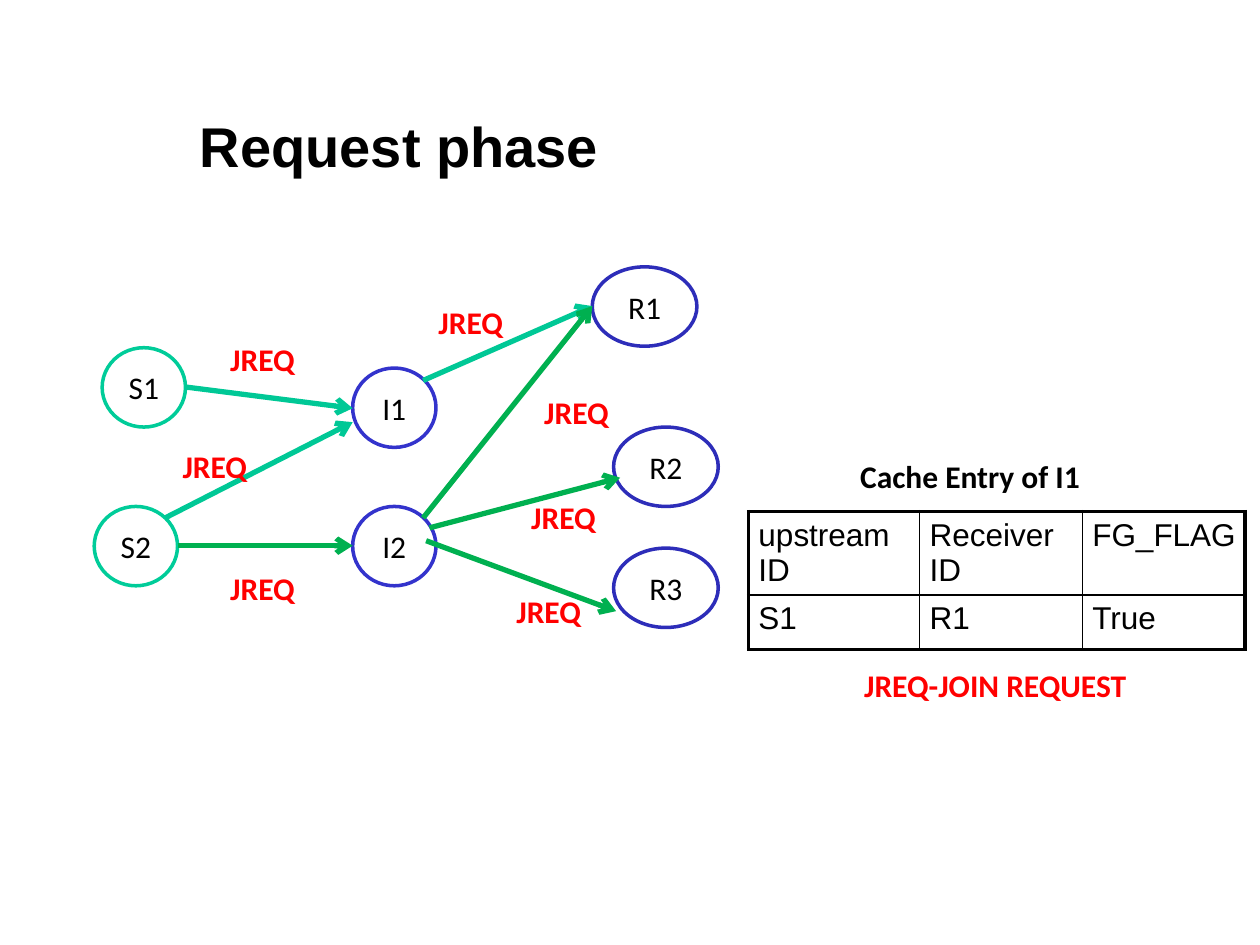
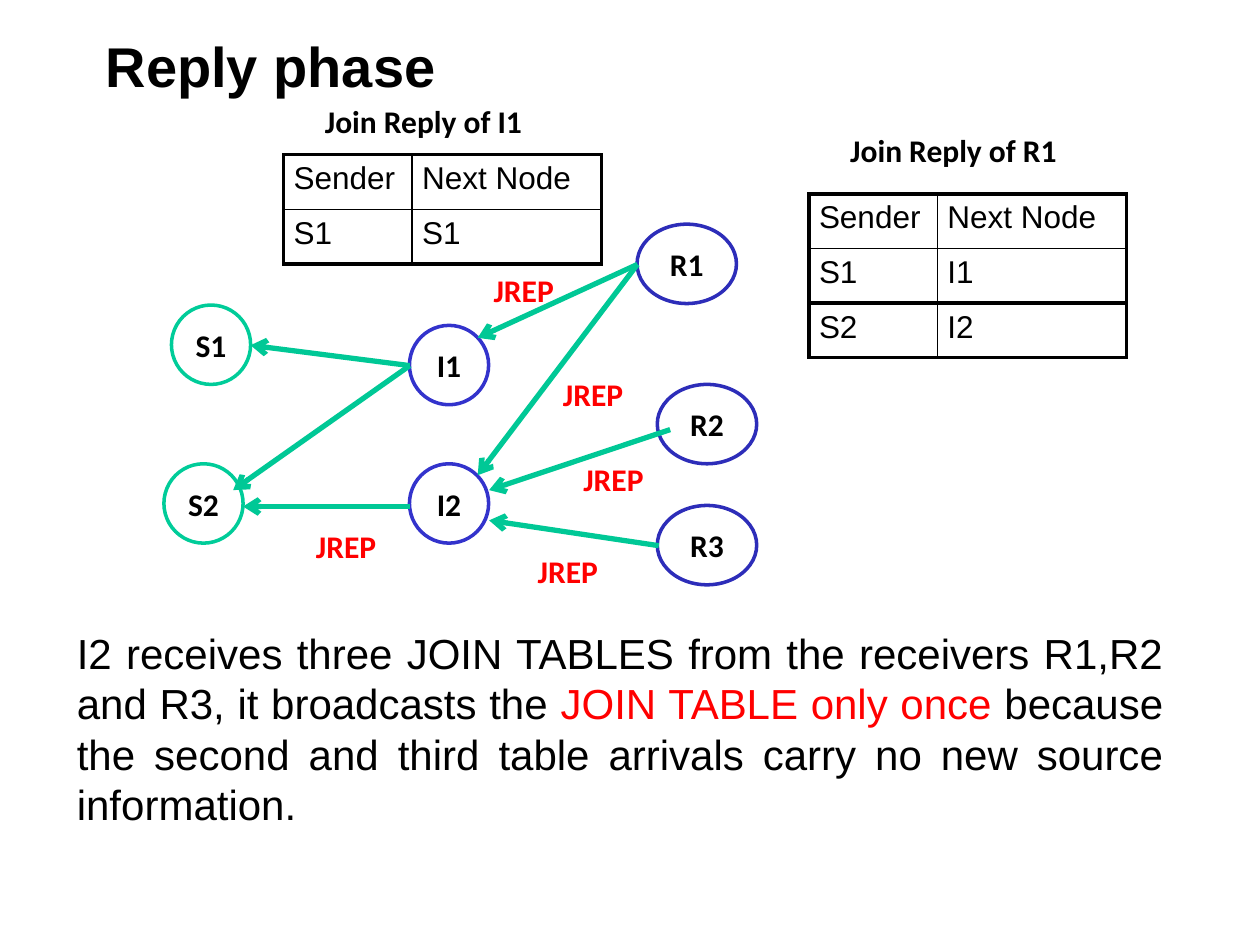
from dataclasses import dataclass

from lxml import etree
from pptx import Presentation
from pptx import util as u
from pptx.dml.color import RGBColor
from pptx.enum import shapes, text
from pptx.oxml import ns

# Shared look
BLACK = RGBColor(0x00, 0x00, 0x00)
WHITE = RGBColor(0xFF, 0xFF, 0xFF)
RED = RGBColor(0xFF, 0x00, 0x00)
TEAL = RGBColor(0x00, 0xC8, 0x96)
GREEN = RGBColor(0x00, 0xB0, 0x50)
SOURCE_RING = RGBColor(0x00, 0xCC, 0x99)
INNER_RING = RGBColor(0x33, 0x33, 0xCC)
RECEIVER_RING = RGBColor(0x2D, 0x2D, 0xB9)
HEADING_FONT = "Arial"
LABEL_FONT = "Calibri"
NODE_HEIGHT = 1.6
THIN, THICK = u.Pt(1), u.Pt(2.25)


# All positions and lengths below are in centimetres
@dataclass(frozen=True)
class Node:
    name: str
    left: float
    top: float
    width: float
    ring: RGBColor


@dataclass(frozen=True)
class Frame:
    """Where the network sits: x is stretched and shifted, y is shifted."""
    stretch: float
    dx: float
    dy: float
    bold: bool


@dataclass(frozen=True)
class Arrow:
    start: tuple[float, float]
    end: tuple[float, float]
    color: RGBColor = TEAL


@dataclass(frozen=True)
class Label:
    words: str
    left: float
    top: float
    width: float
    color: RGBColor = RED
    wrap: bool = False


@dataclass(frozen=True)
class Grid:
    left: float
    top: float
    columns: tuple[float, ...]
    rows: tuple[tuple[str, ...], ...]


NODES = (
    Node("S1", 2.06, 7.01, 1.68, SOURCE_RING),
    Node("S2", 1.9, 10.21, 1.68, SOURCE_RING),
    Node("I1", 7.11, 7.42, 1.68, INNER_RING),
    Node("I2", 7.11, 10.21, 1.68, INNER_RING),
    Node("R1", 11.94, 5.38, 2.11, RECEIVER_RING),
    Node("R2", 12.37, 8.61, 2.11, RECEIVER_RING),
    Node("R3", 12.37, 11.05, 2.11, RECEIVER_RING),
)

# Request phase
REQUEST_FRAME = Frame(1, 0, 0, False)
REQUEST_ARROWS = (
    Arrow((3.73, 7.8), (7.11, 8.23)),
    Arrow((3.58, 11), (7.11, 11), GREEN),
    Arrow((3.33, 10.44), (7.11, 8.51)),
    Arrow((8.53, 7.67), (11.94, 6.17)),
    Arrow((8.53, 10.44), (11.94, 6.17), GREEN),
    Arrow((8.66, 10.64), (12.5, 9.63), GREEN),
    Arrow((8.59, 10.9), (12.42, 12.32), GREEN),
)
REQUEST_SPOTS = ((4.39, 6.73), (8.59, 5.99), (3.43, 8.89), (4.39, 11.35),
                 (10.72, 7.8), (10.46, 9.91), (10.16, 11.81))
REQUEST_CAPTIONS = (
    Label("Cache Entry of I1", 17.09, 9.09, 5.99, BLACK, True),
    Label("JREQ-JOIN REQUEST", 17.17, 13.31, 5.84),
)
REQUEST_GRIDS = (
    Grid(15.09, 10.31, (3.45, 3.28, 3.28),
         (("upstream ID", "Receiver ID", "FG_FLAG"), ("S1", "R1", "True"))),
)

# Reply phase
REPLY_FRAME = Frame(0.95, 1.5, -0.86, True)
REPLY_ARROWS = (
    Arrow((8.26, 7.37), (5.05, 6.96)),
    Arrow((8.26, 10.21), (4.9, 10.21)),
    Arrow((8.26, 7.37), (4.7, 9.88)),
    Arrow((12.85, 5.33), (9.63, 6.81)),
    Arrow((12.85, 5.33), (9.63, 9.58)),
    Arrow((13.51, 8.66), (9.86, 9.88)),
    Arrow((13.28, 11), (9.86, 10.49)),
)
REPLY_SPOTS = ((9.7, 5.33), (11.51, 9.14), (10.59, 11), (11.1, 7.44),
               (6.12, 10.49))
REPLY_CAPTIONS = (
    Label("Join Reply of R1", 16.89, 2.51, 5.18, BLACK, True),
    Label("Join Reply of I1", 6.3, 1.93, 4.6, BLACK, True),
)
REPLY_COLUMNS = (2.59, 3.81)
REPLY_GRIDS = (
    Grid(16.31, 3.91, REPLY_COLUMNS,
         (("Sender", "Next Node"), ("S1", "I1"), ("S2", "I2"))),
    Grid(5.72, 3.12, REPLY_COLUMNS, (("Sender", "Next Node"), ("S1", "S1"))),
)
REPLY_NOTE = (
    ("I2 receives three JOIN TABLES from the receivers R1,R2 and R3, "
     "it broadcasts the ", BLACK),
    ("JOIN TABLE only once ", RED),
    ("because the second and third table arrivals carry no new source "
     "information.", BLACK),
)


def style(para, font: str, size: float, color: RGBColor, bold: bool) -> None:
    para.font.name = font
    para.font.size = u.Pt(size)
    para.font.color.rgb = color
    para.font.bold = bold


def add_box(page, left: float, top: float, width: float, height: float,
            wrap: bool = True):
    """Add a text box that grows with its text; return its first paragraph."""
    box = page.shapes.add_textbox(u.Cm(left), u.Cm(top), u.Cm(width), u.Cm(height))
    box.text_frame.word_wrap = wrap
    box.text_frame.auto_size = text.MSO_AUTO_SIZE.SHAPE_TO_FIT_TEXT
    return box.text_frame.paragraphs[0]


def add_title(page, words: str, left: float, top: float) -> None:
    para = add_box(page, left, top, 10.9, 1.63)
    para.text = words
    para._p.get_or_add_pPr().set("marL", str(u.Cm(1.27)))
    style(para, HEADING_FONT, 32, BLACK, True)


def add_label(page, label: Label) -> None:
    para = add_box(page, label.left, label.top, label.width, 1.02, label.wrap)
    para.text = label.words
    style(para, LABEL_FONT, 18, label.color, True)


def add_node(page, node: Node, frame: Frame) -> None:
    oval = page.shapes.add_shape(
        shapes.MSO_SHAPE.OVAL,
        u.Cm(node.left * frame.stretch + frame.dx), u.Cm(node.top + frame.dy),
        u.Cm(node.width * frame.stretch), u.Cm(NODE_HEIGHT))
    oval.shadow.inherit = False
    oval.fill.solid()
    oval.fill.fore_color.rgb = WHITE
    oval.line.color.rgb = node.ring
    oval.line.width = u.Pt(2)
    oval.text_frame.word_wrap = False
    oval.text_frame.vertical_anchor = text.MSO_ANCHOR.MIDDLE
    para = oval.text_frame.paragraphs[0]
    para.text = node.name
    para.alignment = text.PP_ALIGN.CENTER
    style(para, LABEL_FONT, 18, BLACK, frame.bold)


def add_arrow(page, arrow: Arrow) -> None:
    ends = [u.Cm(value) for value in (*arrow.start, *arrow.end)]
    line = page.shapes.add_connector(shapes.MSO_CONNECTOR.STRAIGHT, *ends)
    line.line.color.rgb = arrow.color
    line.line.width = u.Pt(3)
    etree.SubElement(line.line._ln, ns.qn("a:tailEnd"), type="arrow")
    etree.SubElement(line._element.spPr, ns.qn("a:effectLst"))


def set_border(cell, side: str, width: int) -> None:
    edge = etree.SubElement(cell._tc.get_or_add_tcPr(), ns.qn(f"a:{side}"),
                            w=str(width))
    fill = etree.SubElement(edge, ns.qn("a:solidFill"))
    etree.SubElement(fill, ns.qn("a:srgbClr"), val=str(BLACK))


def add_grid(page, grid: Grid) -> None:
    row_height = u.Cm(1.1)
    last = len(grid.columns) - 1
    table = page.shapes.add_table(
        len(grid.rows), len(grid.columns), u.Cm(grid.left), u.Cm(grid.top),
        u.Cm(sum(grid.columns)), row_height * len(grid.rows)).table
    table.first_row = table.horz_banding = False
    for column, width in zip(table.columns, grid.columns):
        column.width = u.Cm(width)
    for r, words in enumerate(grid.rows):
        for c, word in enumerate(words):
            cell = table.cell(r, c)
            # The narrow right margin keeps FG_FLAG on one line
            cell.margin_left, cell.margin_right = u.Cm(0.2), u.Cm(0.1)
            cell.margin_top = cell.margin_bottom = u.Cm(0.13)
            cell.text = word
            style(cell.text_frame.paragraphs[0], HEADING_FONT, 18, BLACK, False)
            # Only the header rule and the inner column rules are thin
            set_border(cell, "lnL", THICK if c == 0 else THIN)
            set_border(cell, "lnR", THICK if c == last else THIN)
            set_border(cell, "lnT", THIN if r == 1 else THICK)
            set_border(cell, "lnB", THIN if r == 0 else THICK)
            cell.fill.background()


def add_network(page, frame: Frame, arrows: tuple[Arrow, ...], message: str,
                spots: tuple[tuple[float, float], ...], width: float) -> None:
    for node in NODES:
        add_node(page, node, frame)
    for arrow in arrows:
        add_arrow(page, arrow)
    for left, top in spots:
        add_label(page, Label(message, left, top, width))


def add_tables(page, grids: tuple[Grid, ...], captions: tuple[Label, ...]) -> None:
    for grid in grids:
        add_grid(page, grid)
    for caption in captions:
        add_label(page, caption)


def add_note(page) -> None:
    para = add_box(page, 1.3, 12.52, 22.4, 3.33)
    para.alignment = text.PP_ALIGN.JUSTIFY
    para.font.name = HEADING_FONT
    para.font.size = u.Pt(24)
    for words, color in REPLY_NOTE:
        span = para.add_run()
        span.text = words
        span.font.color.rgb = color


def main() -> None:
    deck = Presentation()
    deck.slide_width, deck.slide_height = u.Cm(25.4), u.Cm(19.05)
    blank = deck.slide_layouts[6]

    # Request phase
    page = deck.slides.add_slide(blank)
    add_tables(page, REQUEST_GRIDS, REQUEST_CAPTIONS)
    add_network(page, REQUEST_FRAME, REQUEST_ARROWS, "JREQ", REQUEST_SPOTS, 1.93)
    add_title(page, "Request phase", 2.51, 2.13)

    # Reply phase
    page = deck.slides.add_slide(blank)
    add_network(page, REPLY_FRAME, REPLY_ARROWS, "JREP", REPLY_SPOTS, 1.75)
    add_tables(page, REPLY_GRIDS, REPLY_CAPTIONS)
    add_note(page)
    add_title(page, "Reply phase", 0.61, 0.51)

    deck.save("out.pptx")


if __name__ == "__main__":
    main()
